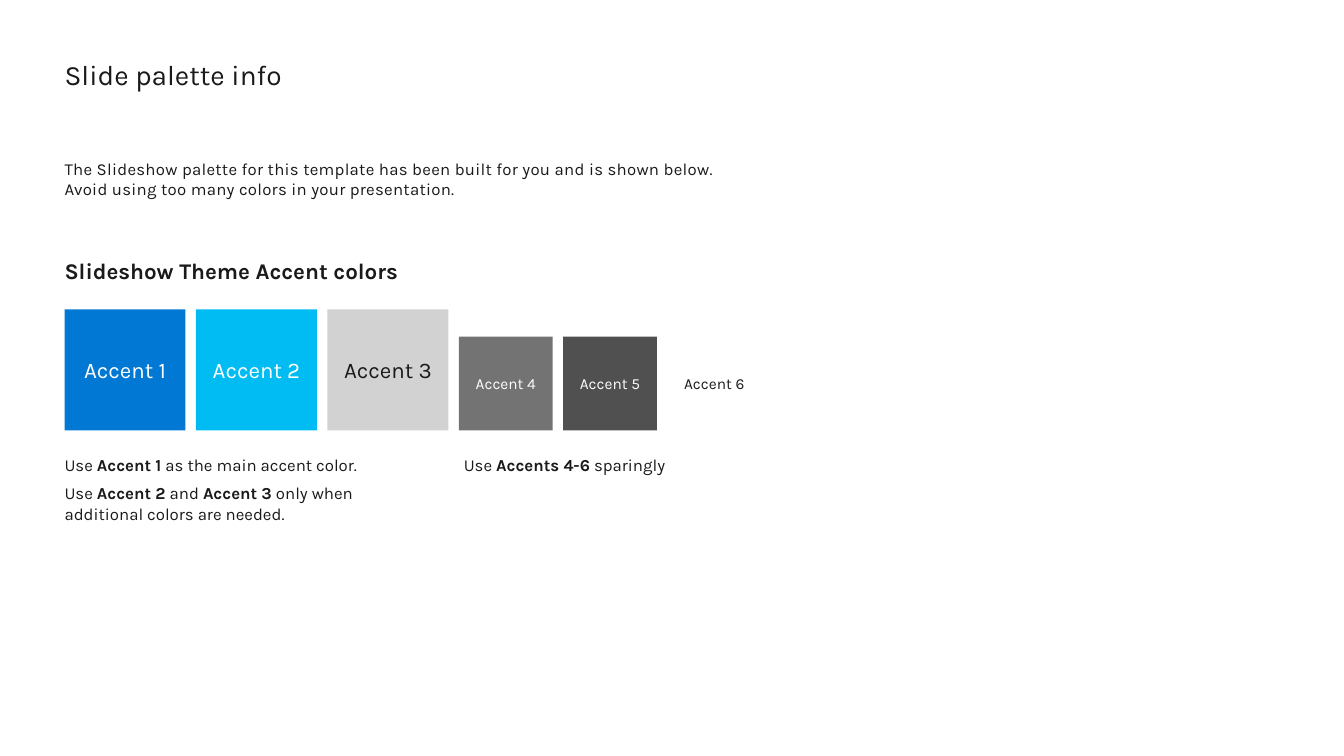
from dataclasses import dataclass

from pptx import Presentation
from pptx.dml.color import RGBColor as Rgb
from pptx.enum.shapes import MSO_SHAPE as Kind
from pptx.enum.text import MSO_ANCHOR as Anchor, PP_ALIGN as Align
from pptx.util import Inches, Pt


@dataclass(frozen=True)
class Theme:
    """Font, colours and type sizes of the slide."""
    font: str = "Karla"
    ink: str = "1A1A1A"
    white: str = "FFFFFF"
    blue: str = "0078D4"
    cyan: str = "00BCF2"
    pale: str = "D2D2D2"
    gray: str = "737373"
    dark: str = "505050"
    title: int = 20
    head: int = 16
    body: int = 12
    small: int = 11


THEME = Theme()
LEFT, RIGHT, BASE = 0.64, 7.55, 4.27
BIG, SMALL = 1.2, 0.93


def write(shape, text, size=THEME.body, color=THEME.ink, bold=False,
          align=Align.LEFT, anchor=Anchor.TOP, pad=(0, 0), before=0, track=0):
    """Fill a shape: newline parts paragraphs, | breaks a line, * marks bold."""
    frame = shape.text_frame
    frame.word_wrap = True
    frame.vertical_anchor = anchor
    frame.margin_left = frame.margin_right = 0
    frame.margin_top, frame.margin_bottom = map(Inches, pad)
    for n, line in enumerate(text.split("\n")):
        para = frame.add_paragraph() if n else frame.paragraphs[0]
        para.alignment = align
        para.space_before = Pt(before)
        for i, part in enumerate(line.split("*")):
            for j, piece in enumerate(part.split("|")):
                if j:
                    para.add_line_break()
                if not piece:
                    continue
                run = para.add_run()
                run.text = piece
                font = run.font
                font.name, font.size = THEME.font, Pt(size)
                font.bold = bold or i % 2 == 1
                font.color.rgb = Rgb.from_string(color)
                if track:
                    run._r.get_or_add_rPr().set("spc", str(round(track * 100)))


def title(slide, text, box):
    """Place and format the title placeholder."""
    shape = slide.shapes.title
    shape.left, shape.top, shape.width, shape.height = map(Inches, box)
    write(shape, text, size=THEME.title, pad=(0.07, 0))


def label(slide, text, box, **form):
    """Add a text box."""
    write(slide.shapes.add_textbox(*map(Inches, box)), text, **form)


def swatch(slide, text, left, side, fill, **form):
    """Add a named colour square that stands on the base line."""
    box = map(Inches, (left, BASE - side, side, side))
    shape = slide.shapes.add_shape(Kind.RECTANGLE, *box)
    shape.shadow.inherit = False
    shape.fill.solid()
    shape.fill.fore_color.rgb = Rgb.from_string(fill)
    shape.line.fill.background()
    write(shape, text, align=Align.CENTER, anchor=Anchor.MIDDLE,
          pad=(0.05, 0.05), **form)


def palette(slide):
    """Add the accent squares in a row with equal gaps."""
    accents = [
        (THEME.blue, THEME.white, BIG, THEME.head),
        (THEME.cyan, THEME.white, BIG, THEME.head),
        (THEME.pale, THEME.ink, BIG, THEME.head),
        (THEME.gray, THEME.white, SMALL, THEME.small),
        (THEME.dark, THEME.white, SMALL, THEME.small),
        (THEME.white, THEME.ink, SMALL, THEME.small),
    ]
    used = sum(side for _, _, side, _ in accents)
    gap = (RIGHT - LEFT - used) / (len(accents) - 1)
    left = LEFT
    for n, (fill, color, side, size) in enumerate(accents, 1):
        swatch(slide, f"Accent {n}", left, side, fill, color=color, size=size)
        left += side + gap


def main():
    """Build and save the slide."""
    deck = Presentation()
    deck.slide_width, deck.slide_height = Inches(13.33), Inches(7.5)
    slide = deck.slides.add_slide(deck.slide_layouts.get_by_name("Title Only"))

    title(slide, "Slide palette info", (LEFT, 0.5, 6.02, 0.41))
    label(slide, "The Slideshow palette for this template has been built "
          "for you and is shown below.\n"
          "Avoid using too many colors in your presentation.",
          (LEFT, 1.57, 10.89, 0.4), track=0.2)
    label(slide, "Slideshow Theme Accent colors", (LEFT, 2.55, 6.88, 0.27),
          size=THEME.head, bold=True)
    palette(slide)
    label(slide, "Use *Accent 1* as the main accent color.\n"
          "Use *Accent 2* and *Accent 3* only when|"
          "additional colors are needed.",
          (LEFT, 4.51, 3.81, 0.69), before=6)
    label(slide, "Use *Accents 4-6* sparingly", (4.6, 4.51, 3.04, 0.2))

    deck.save("out.pptx")


main()
